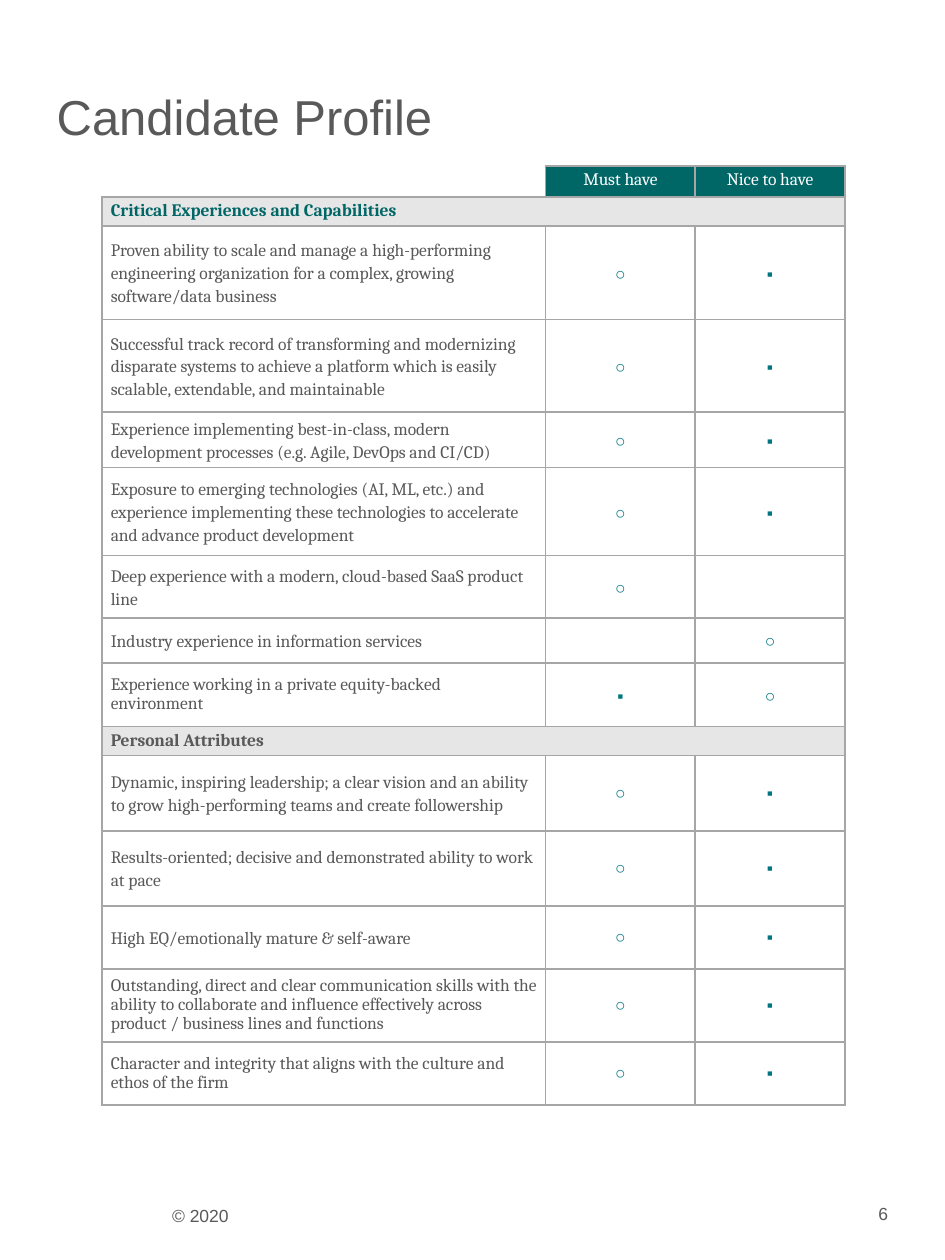
from lxml.etree import SubElement
from pptx import Presentation
from pptx.dml.color import RGBColor
from pptx.enum.text import MSO_ANCHOR, PP_ALIGN
from pptx.oxml.ns import qn
from pptx.util import Pt

TEAL = RGBColor(0x00, 0x66, 0x66)
MARK_TEAL = RGBColor(0x00, 0x76, 0x81)
GRAY = RGBColor(0x59, 0x59, 0x59)
BAND = RGBColor(0xE7, 0xE6, 0xE6)
BORDER = RGBColor(0xA6, 0xA6, 0xA6)
WHITE = RGBColor(0xFF, 0xFF, 0xFF)

YES, MINOR, NONE = "○", "▪", ""
HEADINGS = ["Must have", "Nice to have"]
HEADING_HEIGHT = 16.5
COLUMN_WIDTHS = [253.5, 85.5, 85.5]
TABLE_LEFT, TABLE_TOP = 58.3, 95

# Each criterion: text, must have, nice to have, row height, line spacing
SECTIONS = [
    {"title": "Critical Experiences and Capabilities", "color": TEAL, "mark_spacing": 13, "criteria": [
        ("Proven ability to scale and manage a high-performing engineering organization "
         "for a complex, growing software/data business", YES, MINOR, 53.5, 13),
        ("Successful track record of transforming and modernizing disparate systems to achieve "
         "a platform which is easily scalable, extendable, and maintainable", YES, MINOR, 53, 13),
        ("Experience implementing best-in-class, modern development processes "
         "(e.g. Agile, DevOps and CI/CD)", YES, MINOR, 31.5, 13),
        ("Exposure to emerging technologies (AI, ML, etc.) and experience implementing these "
         "technologies to accelerate and advance product development", YES, MINOR, 50.5, 13),
        ("Deep experience with a modern, cloud-based SaaS product line", YES, NONE, 35.5, 13),
        ("Industry experience in information services", NONE, YES, 25.7, 13),
        ("Experience working in a private equity-backed environment", MINOR, YES, 36.5, 11),
    ]},
    {"title": "Personal Attributes", "color": GRAY, "mark_spacing": 11, "criteria": [
        ("Dynamic, inspiring leadership; a clear vision and an ability to grow "
         "high-performing teams and create followership", YES, MINOR, 43, 13),
        ("Results-oriented; decisive and demonstrated ability to work at pace", YES, MINOR, 43, 13),
        ("High EQ/emotionally mature & self-aware", YES, MINOR, 36, 13),
        ("Outstanding, direct and clear communication skills with the ability to collaborate and "
         "influence effectively across product / business lines and functions", YES, MINOR, 41.7, 11),
        ("Character and integrity that aligns with the culture and ethos of the firm", YES, MINOR, 36, 11),
    ]},
]


def write_text(frame, text, size=10, font="Arial", color=GRAY, bold=False,
               align=PP_ALIGN.LEFT, spacing=None):
    paragraph = frame.paragraphs[0]
    paragraph.alignment = align
    paragraph.line_spacing = spacing
    if not text:
        # An empty cell still needs a small font, or its row grows
        paragraph._p.get_or_add_endParaRPr().set("sz", str(size * 100))
        return
    run = paragraph.add_run()
    run.text = text
    run.font.size = Pt(size)
    run.font.name = font
    run.font.color.rgb = color
    run.font.bold = bold


def add_text_box(slide, left, top, width, height, text, wrap=False,
                 anchor=MSO_ANCHOR.TOP, **text_format):
    frame = slide.shapes.add_textbox(Pt(left), Pt(top), Pt(width), Pt(height)).text_frame
    frame.margin_left = frame.margin_right = frame.margin_top = frame.margin_bottom = 0
    frame.word_wrap = wrap
    frame.vertical_anchor = anchor
    write_text(frame, text, **text_format)


def set_borders(cell, **side_colors):
    properties = cell._tc.get_or_add_tcPr()
    for position, side in enumerate("LRTB"):
        line = SubElement(properties, qn(f"a:ln{side}"), w=str(Pt(1)))
        fill = SubElement(line, qn("a:solidFill"))
        SubElement(fill, qn("a:srgbClr"), val=str(side_colors.get(side, BORDER)))
        properties.insert(position, line)


def fill_cell(cell, text, fill=None, anchor=MSO_ANCHOR.MIDDLE, **text_format):
    cell.margin_left = cell.margin_right = Pt(5)
    cell.margin_top = cell.margin_bottom = Pt(2.75)
    cell.vertical_anchor = anchor
    if fill is None:
        cell.fill.background()
    else:
        cell.fill.solid()
        cell.fill.fore_color.rgb = fill
    write_text(cell.text_frame, text, **text_format)


def add_profile_table(slide):
    heights = [HEADING_HEIGHT]
    for section in SECTIONS:
        heights.append(HEADING_HEIGHT)
        heights += [criterion[3] for criterion in section["criteria"]]
    table = slide.shapes.add_table(
        len(heights), len(COLUMN_WIDTHS), Pt(TABLE_LEFT), Pt(TABLE_TOP),
        Pt(sum(COLUMN_WIDTHS)), Pt(sum(heights))).table
    table.first_row = table.horz_banding = False
    for column, width in zip(table.columns, COLUMN_WIDTHS):
        column.width = Pt(width)
    for row, height in zip(table.rows, heights):
        row.height = Pt(height)

    fill_cell(table.cell(0, 0), NONE, spacing=Pt(11))
    for column, heading in enumerate(HEADINGS, start=1):
        fill_cell(table.cell(0, column), heading, fill=TEAL, anchor=MSO_ANCHOR.TOP, font="Cambria",
                  color=WHITE, align=PP_ALIGN.CENTER, spacing=Pt(11))

    row = 1
    for section in SECTIONS:
        for column in range(len(COLUMN_WIDTHS)):
            fill_cell(table.cell(row, column), NONE if column else section["title"], fill=BAND,
                      anchor=MSO_ANCHOR.TOP, font="Cambria", color=section["color"], bold=True,
                      spacing=Pt(11))
        table.cell(row, 0).merge(table.cell(row, len(COLUMN_WIDTHS) - 1))
        for row, criterion in enumerate(section["criteria"], start=row + 1):
            label, must_have, nice_to_have, _, spacing = criterion
            fill_cell(table.cell(row, 0), label, font="Cambria", spacing=Pt(spacing))
            for column, mark in enumerate((must_have, nice_to_have), start=1):
                fill_cell(table.cell(row, column), mark, color=MARK_TEAL, align=PP_ALIGN.CENTER,
                          spacing=Pt(section["mark_spacing"]))
        row += 1

    for cell in table.iter_cells():
        set_borders(cell)
    corner = table.cell(0, 0)
    for line in list(corner._tc.tcPr)[:4]:
        corner._tc.tcPr.remove(line)
    set_borders(corner, L=WHITE, T=WHITE)


def main():
    presentation = Presentation()
    presentation.slide_width, presentation.slide_height = Pt(540), Pt(720)
    slide = presentation.slides.add_slide(presentation.slide_layouts[6])
    add_text_box(slide, 496, 687.6, 11.5, 12.2, "6", anchor=MSO_ANCHOR.MIDDLE, align=PP_ALIGN.RIGHT)
    add_text_box(slide, 98.4, 688.3, 33, 12.2, "© 2020")
    add_text_box(slide, 32.4, 47.5, 476.6, 41.8, "Candidate Profile", wrap=True,
                 anchor=MSO_ANCHOR.MIDDLE, size=28, spacing=0.9)
    add_profile_table(slide)
    presentation.save("out.pptx")


if __name__ == "__main__":
    main()
